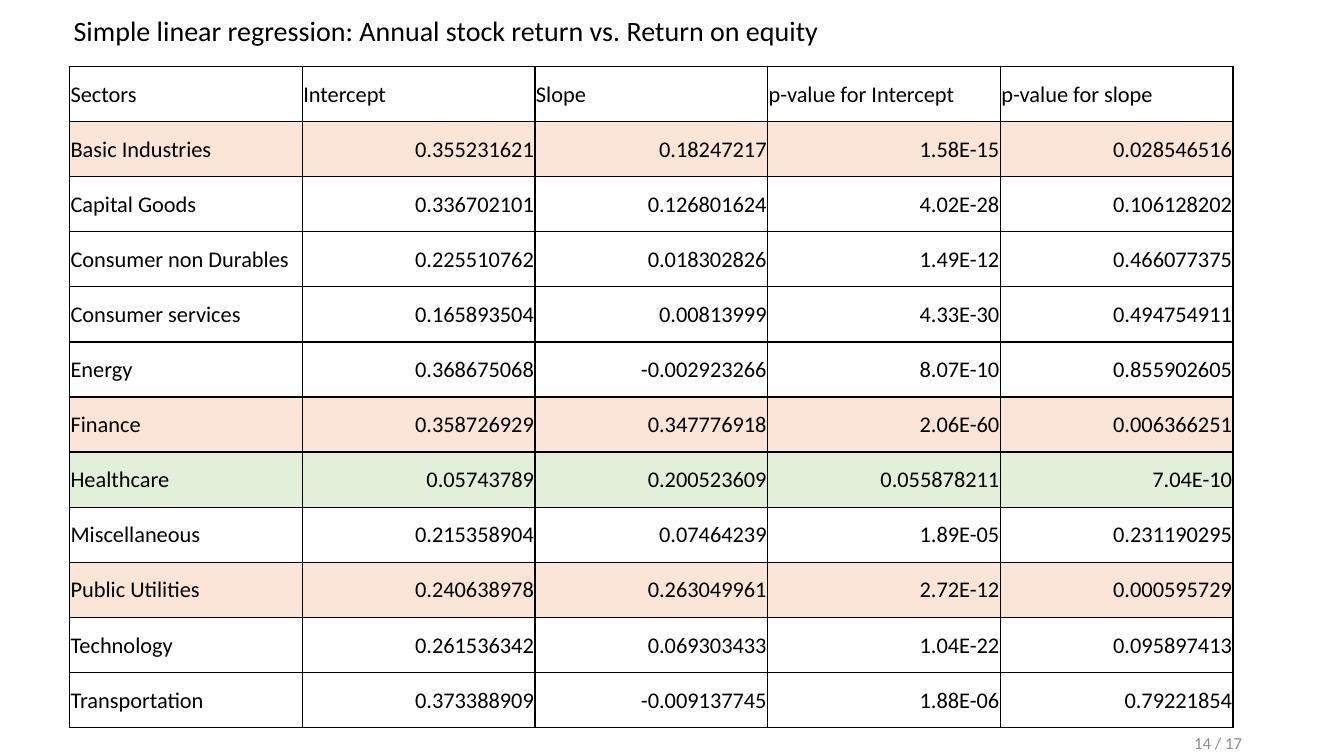
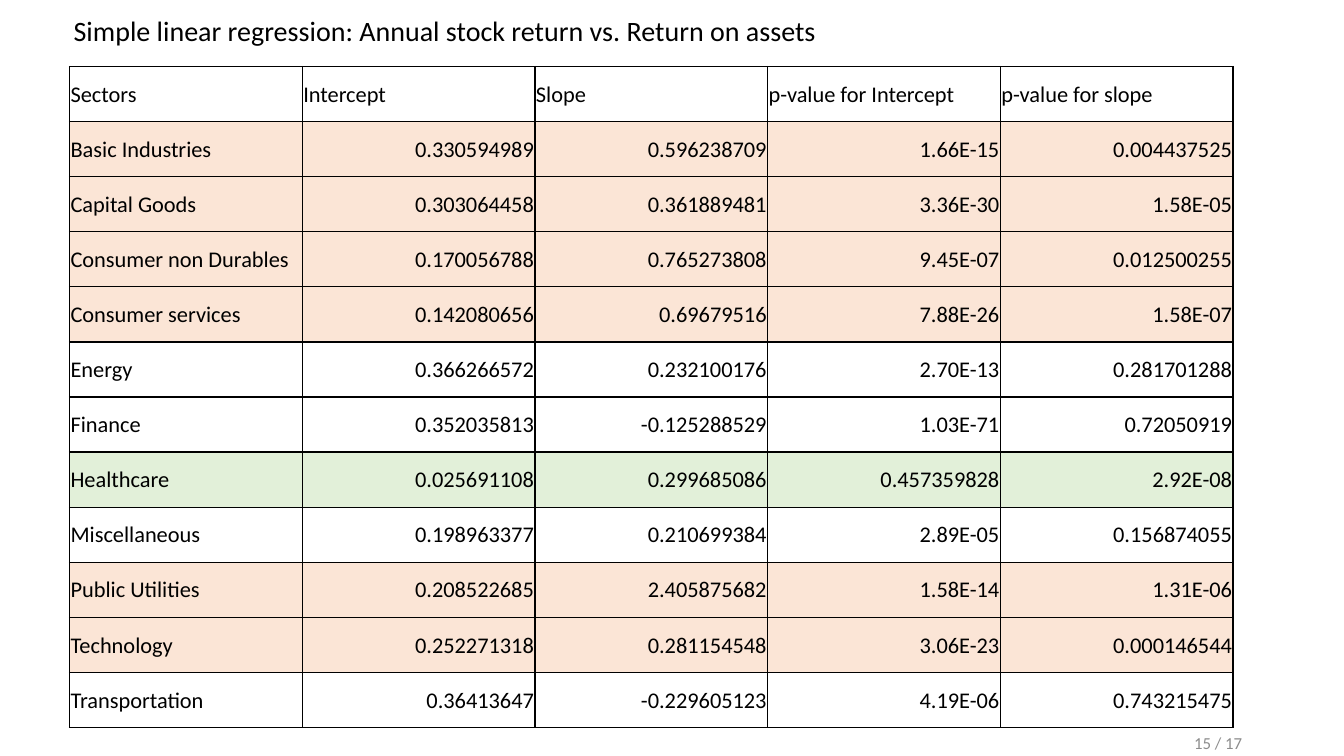
import dataclasses

import lxml.etree
import pptx
import pptx.dml.color
import pptx.enum.text
import pptx.oxml.ns
import pptx.util

Inches = pptx.util.Inches
Pt = pptx.util.Pt
ALIGN = pptx.enum.text.PP_ALIGN
MIDDLE = pptx.enum.text.MSO_ANCHOR.MIDDLE


# Theme: colours, type and the significance level behind the row tints
@dataclasses.dataclass(frozen=True)
class Theme:
    font: str = "Calibri"
    ink: str = "000000"
    muted: str = "8C8C8C"
    slope_tint: str = "FBE5D6"
    slope_only_tint: str = "E2F0D9"
    title_size: int = 20
    table_size: int = 16
    page_size: int = 12
    border: int = 1
    alpha: float = 0.05


def rgb(value):
    return pptx.dml.color.RGBColor.from_string(value)


class Deck:
    def __init__(self, theme, page_count):
        self.theme = theme
        self.page_count = page_count
        self.prs = pptx.Presentation()
        self.prs.slide_width = Inches(13.33)
        self.prs.slide_height = Inches(7.5)
        self.s = None

    def add_slide(self):
        self.s = self.prs.slides.add_slide(self.prs.slide_layouts[5])

    def place(self, shape, left, top, width, height):
        box = {"left": left, "top": top, "width": width, "height": height}
        for name, value in box.items():
            setattr(shape, name, Inches(value))

    def add_text(self, tf, text, size, color, align=ALIGN.LEFT):
        p = tf.paragraphs[0]
        p.alignment = align
        r = p.add_run()
        r.text = text
        for name, value in {"name": self.theme.font, "size": Pt(size)}.items():
            setattr(r.font, name, value)
        r.font.color.rgb = rgb(color)

    def title(self, text):
        sp = self.s.shapes.title
        self.place(sp, 0.63, 0.08, 8.2, 0.44)
        tf = sp.text_frame
        form = {"auto_size": pptx.enum.text.MSO_AUTO_SIZE.NONE,
                "vertical_anchor": MIDDLE, "word_wrap": True}
        for name, value in form.items():
            setattr(tf, name, value)
        self.add_text(tf, text, self.theme.title_size, self.theme.ink)

    def page_number(self, number):
        sp = self.s.shapes.add_textbox(Inches(9.42), Inches(7.17), Inches(3), Inches(0.4))
        tf = sp.text_frame
        for name, value in {"vertical_anchor": MIDDLE, "word_wrap": True}.items():
            setattr(tf, name, value)
        self.add_text(tf, f"{number} / {self.page_count}", self.theme.page_size,
                      self.theme.muted, ALIGN.RIGHT)

    def row_tint(self, p_intercept, p_slope):
        """Tint rows with a significant slope; green if the intercept is not."""
        if float(p_slope) >= self.theme.alpha:
            return None
        if float(p_intercept) >= self.theme.alpha:
            return self.theme.slope_only_tint
        return self.theme.slope_tint

    def borders(self, cell):
        tc_pr = cell._tc.get_or_add_tcPr()
        qn = pptx.oxml.ns.qn
        for side in ("a:lnL", "a:lnR", "a:lnT", "a:lnB"):
            ln = lxml.etree.SubElement(tc_pr, qn(side), w=str(Pt(self.theme.border)))
            fill = lxml.etree.SubElement(ln, qn("a:solidFill"))
            lxml.etree.SubElement(fill, qn("a:srgbClr"), val=self.theme.ink)

    def cell(self, cell, text, align, tint):
        form = {"margin_left": Inches(0.01), "margin_right": Inches(0.01),
                "margin_top": Inches(0.01), "margin_bottom": 0,
                "vertical_anchor": MIDDLE}
        for name, value in form.items():
            setattr(cell, name, value)
        self.borders(cell)
        if tint:
            cell.fill.solid()
            cell.fill.fore_color.rgb = rgb(tint)
        else:
            cell.fill.background()
        self.add_text(cell.text_frame, text, self.theme.table_size, self.theme.ink, align)

    def regression_table(self, header, rows):
        frame = self.s.shapes.add_table(len(rows) + 1, len(header), Inches(0.69),
                                        Inches(0.66), Inches(11.54), Inches(6.56))
        table = frame.table
        for name in ("first_row", "horz_banding"):
            setattr(table, name, False)
        for i, row in enumerate([header, *rows]):
            tint = self.row_tint(*row[-2:]) if i else None
            for j, text in enumerate(row):
                align = ALIGN.RIGHT if i and j else ALIGN.LEFT
                self.cell(table.cell(i, j), text, align, tint)


# Content
HEADER = ("Sectors", "Intercept", "Slope", "p-value for Intercept", "p-value for slope")
SECTORS = ("Basic Industries", "Capital Goods", "Consumer non Durables",
           "Consumer services", "Energy", "Finance", "Healthcare", "Miscellaneous",
           "Public Utilities", "Technology", "Transportation")
REGRESSIONS = {
    "Return on equity": (
        ("0.355231621", "0.18247217", "1.58E-15", "0.028546516"),
        ("0.336702101", "0.126801624", "4.02E-28", "0.106128202"),
        ("0.225510762", "0.018302826", "1.49E-12", "0.466077375"),
        ("0.165893504", "0.00813999", "4.33E-30", "0.494754911"),
        ("0.368675068", "-0.002923266", "8.07E-10", "0.855902605"),
        ("0.358726929", "0.347776918", "2.06E-60", "0.006366251"),
        ("0.05743789", "0.200523609", "0.055878211", "7.04E-10"),
        ("0.215358904", "0.07464239", "1.89E-05", "0.231190295"),
        ("0.240638978", "0.263049961", "2.72E-12", "0.000595729"),
        ("0.261536342", "0.069303433", "1.04E-22", "0.095897413"),
        ("0.373388909", "-0.009137745", "1.88E-06", "0.79221854"),
    ),
    "Return on assets": (
        ("0.330594989", "0.596238709", "1.66E-15", "0.004437525"),
        ("0.303064458", "0.361889481", "3.36E-30", "1.58E-05"),
        ("0.170056788", "0.765273808", "9.45E-07", "0.012500255"),
        ("0.142080656", "0.69679516", "7.88E-26", "1.58E-07"),
        ("0.366266572", "0.232100176", "2.70E-13", "0.281701288"),
        ("0.352035813", "-0.125288529", "1.03E-71", "0.72050919"),
        ("0.025691108", "0.299685086", "0.457359828", "2.92E-08"),
        ("0.198963377", "0.210699384", "2.89E-05", "0.156874055"),
        ("0.208522685", "2.405875682", "1.58E-14", "1.31E-06"),
        ("0.252271318", "0.281154548", "3.06E-23", "0.000146544"),
        ("0.36413647", "-0.229605123", "4.19E-06", "0.743215475"),
    ),
}


# Slides: one regression each
def main():
    deck = Deck(Theme(), page_count=17)
    for number, (factor, results) in enumerate(REGRESSIONS.items(), start=14):
        deck.add_slide()
        deck.title(f"Simple linear regression: Annual stock return vs. {factor}")
        deck.regression_table(HEADER, [(sector, *values) for sector, values
                                       in zip(SECTORS, results)])
        deck.page_number(number)
    deck.prs.save("out.pptx")


if __name__ == "__main__":
    main()
